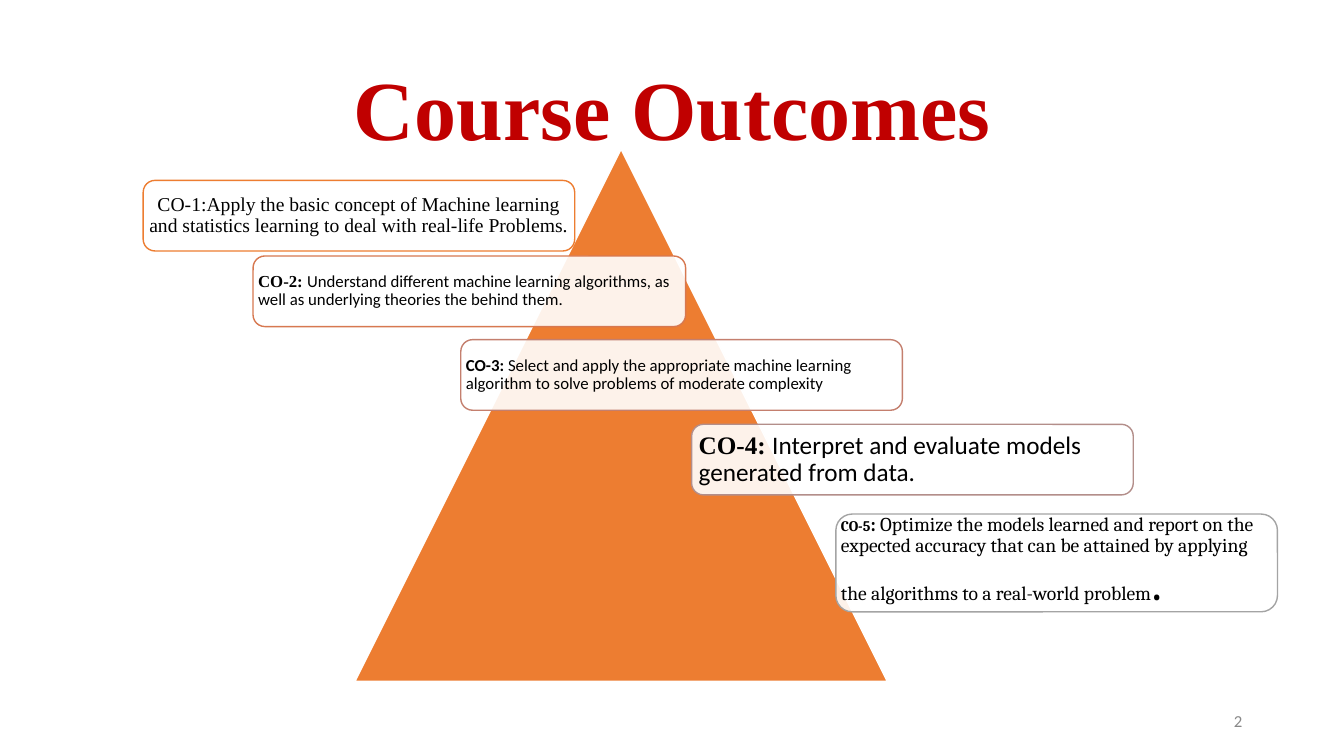
from dataclasses import dataclass

from lxml import etree
from pptx import Presentation
from pptx.dml.color import RGBColor
from pptx.enum.shapes import MSO_SHAPE
from pptx.enum.text import MSO_ANCHOR, MSO_AUTO_SIZE, PP_ALIGN
from pptx.oxml.ns import qn
from pptx.util import Inches, Pt

LEFT, CENTER, RIGHT = PP_ALIGN.LEFT, PP_ALIGN.CENTER, PP_ALIGN.RIGHT
MIDDLE, NO_FIT = MSO_ANCHOR.MIDDLE, MSO_AUTO_SIZE.NONE
TRIANGLE, ROUNDED = MSO_SHAPE.ISOSCELES_TRIANGLE, MSO_SHAPE.ROUNDED_RECTANGLE
TITLE_ONLY = 5
CORNER = 0.167
CORNER_TEXT_INSET = 0.29


@dataclass(frozen=True)
class Theme:
    """Colours, fonts and type sizes of the slide."""
    title: str = "C00000"
    pyramid: str = "ED7D31"
    paper: str = "FFFFFF"
    ink: str = "000000"
    muted: str = "888888"
    serif: str = "Times New Roman"
    sans: str = "Calibri"
    book: str = "Cambria"
    title_size: float = 60
    large: float = 18
    medium: float = 14
    small: float = 12
    tiny: float = 10.5
    full_stop: float = 36


THEME = Theme()

OUTCOMES = [
    ((1.42, 1.79, 4.28, 0.7), "ED7D31", 0.06, CENTER, [
        ("CO-1:Apply the basic concept of Machine learning and statistics "
         "learning to deal with real-life Problems.",
         THEME.serif, THEME.medium, False)]),
    ((2.51, 2.54, 4.29, 0.7), "D77850", 0.05, LEFT, [
        ("CO-2: ", THEME.serif, THEME.small, True),
        ("Understand different machine learning algorithms, as well as "
         "underlying theories the behind them.",
         THEME.sans, THEME.small, False)]),
    ((4.57, 3.37, 4.38, 0.7), "C47F6E", 0.05, LEFT, [
        ("CO-3: ", THEME.sans, THEME.small, True),
        ("Select and apply the appropriate machine learning algorithm to "
         "solve problems of moderate complexity",
         THEME.sans, THEME.small, False)]),
    ((6.86, 4.21, 4.38, 0.7), "B38E8A", 0.07, LEFT, [
        ("CO-4: ", THEME.serif, THEME.large, True),
        ("Interpret and evaluate models generated from data.",
         THEME.sans, THEME.large, False)]),
    ((8.29, 5.1, 4.38, 0.97), "A4A4A4", 0.05, LEFT, [
        ("CO-5", THEME.book, THEME.tiny, True),
        (": ", THEME.book, THEME.medium, True),
        ("Optimize the models learned and report on the expected accuracy "
         "that can be attained by applying the algorithms to a real-world "
         "problem", THEME.book, THEME.medium, False),
        (".", THEME.book, THEME.full_stop, False)]),
]


def write_text(shape, runs, *, color, align=LEFT, spacing=1.0,
               inset_x=0.1, inset_y=0.05):
    """Write runs of (text, font, size, bold) as one paragraph in a shape."""
    frame = shape.text_frame
    frame.word_wrap = True
    frame.auto_size = NO_FIT
    frame.vertical_anchor = MIDDLE
    frame.margin_left = frame.margin_right = Inches(inset_x)
    frame.margin_top = frame.margin_bottom = Inches(inset_y)
    paragraph = frame.paragraphs[0]
    paragraph.alignment = align
    paragraph.line_spacing = spacing
    for text, font, size, bold in runs:
        run = paragraph.add_run()
        run.text = text
        run.font.name = font
        run.font.size = Pt(size)
        run.font.bold = bold
        run.font.color.rgb = RGBColor.from_string(color)


def add_panel(slide, kind, box, fill, line):
    """Add a filled preset shape with a one-point outline."""
    panel = slide.shapes.add_shape(kind, *map(Inches, box))
    panel.shadow.inherit = False
    panel.fill.solid()
    panel.fill.fore_color.rgb = RGBColor.from_string(fill)
    panel.line.color.rgb = RGBColor.from_string(line)
    panel.line.width = Pt(1)
    return panel


def set_opacity(panel, percent):
    """Make the solid fill of a panel partly transparent."""
    color = panel.fill._xPr.find(qn("a:solidFill"))[0]
    etree.SubElement(color, qn("a:alpha")).set("val", str(percent * 1000))


def add_title(slide, box):
    """Place and format the title placeholder."""
    title = slide.shapes.title
    title.left, title.top, title.width, title.height = map(Inches, box)
    write_text(title, [("Course Outcomes", THEME.serif, THEME.title_size, True)],
               color=THEME.title, align=CENTER, spacing=0.9)


def add_outcome(slide, box, outline, inset, align, runs):
    """Add one course outcome in a translucent rounded panel."""
    panel = add_panel(slide, ROUNDED, box, THEME.paper, outline)
    panel.adjustments[0] = CORNER
    set_opacity(panel, 90)
    margin = max(0, inset - CORNER_TEXT_INSET * CORNER * box[3])
    write_text(panel, runs, color=THEME.ink, align=align, spacing=0.9,
               inset_x=margin, inset_y=margin)


def add_pyramid(slide, box):
    """Add the pyramid with the course outcomes stepping down across it."""
    add_panel(slide, TRIANGLE, box, THEME.pyramid, THEME.paper)
    for outcome in OUTCOMES:
        add_outcome(slide, *outcome)


def add_page_number(slide, box):
    """Add the page number at the bottom right."""
    number = slide.shapes.add_textbox(*map(Inches, box))
    write_text(number, [("2", THEME.sans, THEME.small, False)],
               color=THEME.muted, align=RIGHT)


def main():
    """Build and save the course outcomes slide."""
    deck = Presentation()
    deck.slide_width, deck.slide_height = Inches(13.33), Inches(7.5)
    slide = deck.slides.add_slide(deck.slide_layouts[TITLE_ONLY])
    add_title(slide, (0.92, 0.4, 11.5, 1.45))
    add_page_number(slide, (9.42, 6.95, 3, 0.4))
    add_pyramid(slide, (3.52, 1.48, 5.28, 5.28))
    deck.save("out.pptx")


if __name__ == "__main__":
    main()
